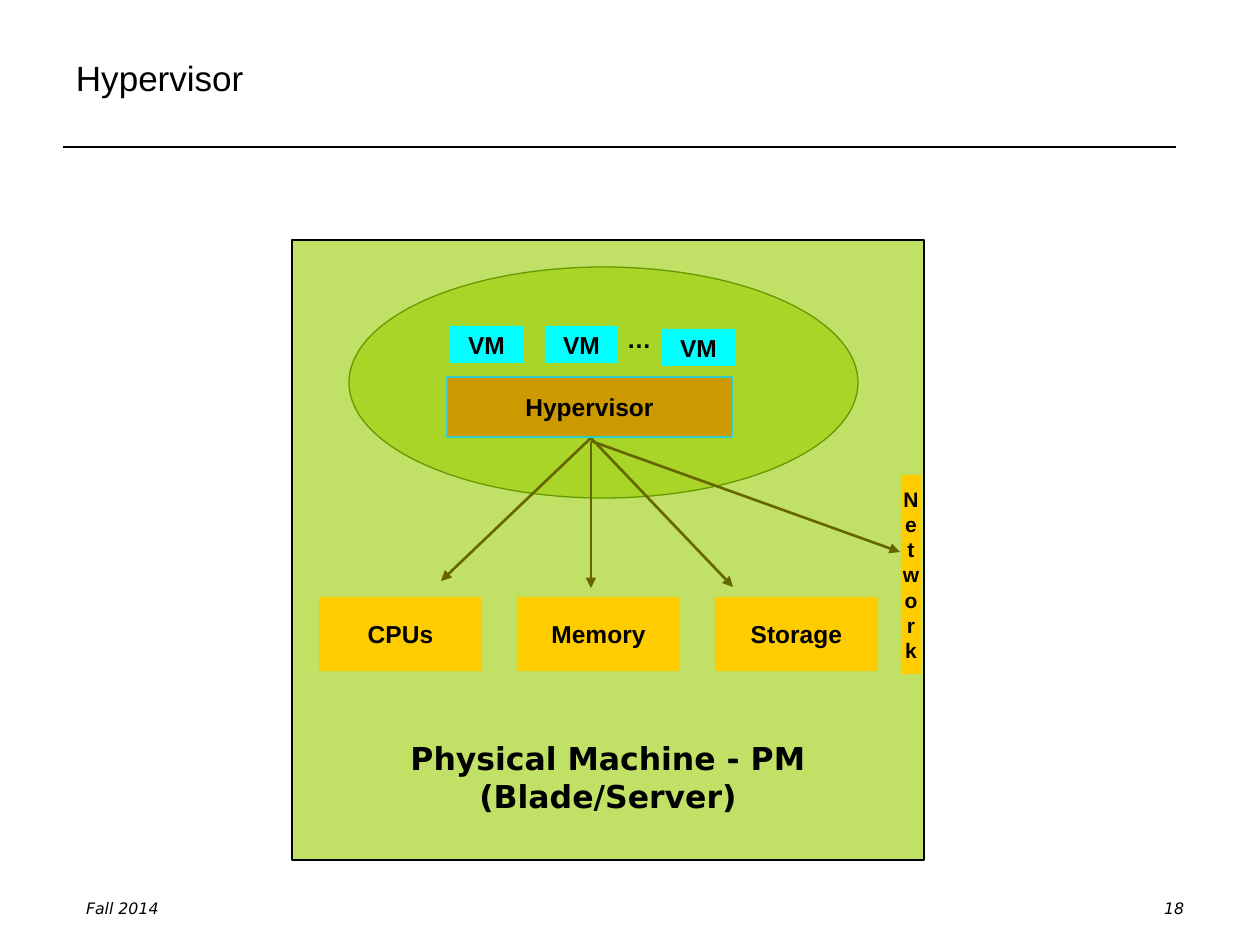
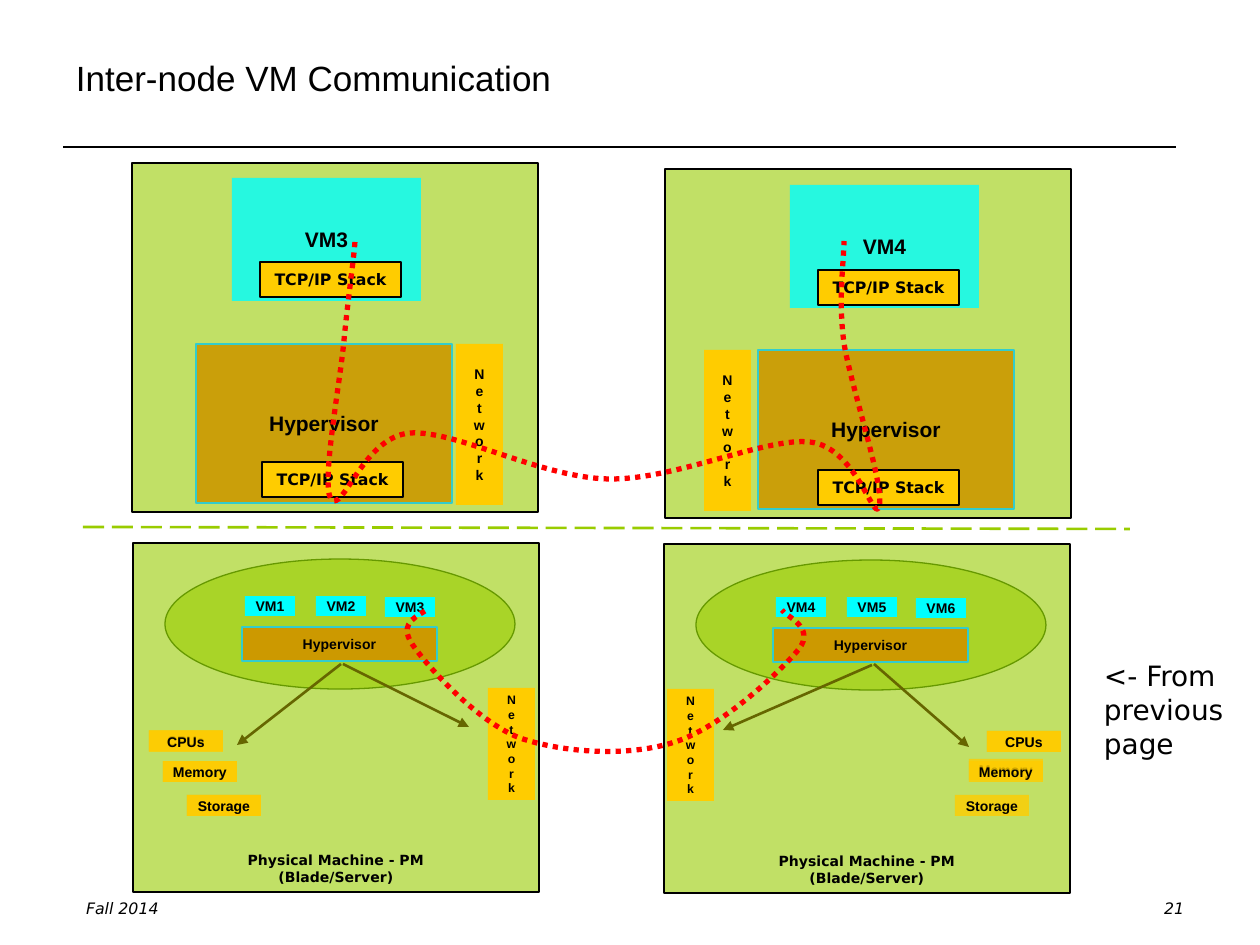
from lxml import etree
from pptx import Presentation
from pptx.dml.color import RGBColor
from pptx.enum.dml import MSO_LINE
from pptx.enum.shapes import MSO_CONNECTOR, MSO_SHAPE
from pptx.enum.text import MSO_ANCHOR, PP_ALIGN
from pptx.oxml.ns import qn
from pptx.util import Pt

RECT, OVAL = MSO_SHAPE.RECTANGLE, MSO_SHAPE.OVAL
STRAIGHT = MSO_CONNECTOR.STRAIGHT
DOTS, LONG_DASH = MSO_LINE.ROUND_DOT, MSO_LINE.LONG_DASH
LEFT, CENTER, RIGHT = PP_ALIGN.LEFT, PP_ALIGN.CENTER, PP_ALIGN.RIGHT
TOP, MIDDLE, BOTTOM = MSO_ANCHOR.TOP, MSO_ANCHOR.MIDDLE, MSO_ANCHOR.BOTTOM

PX = 914400 / 126
SLIDE_W, SLIDE_H = 1260, 945
SANS, WIDE = "Arial", "DejaVu Sans"
COLORS = {
    "black": "000000", "green": "99CC00", "rim": "669900", "cyan": "00FFFF",
    "gold": "FFCC00", "brown": "CC9900", "teal": "33CCCC", "olive": "666600",
    "red": "FF0000",
}

FOOTER = "Fall 2014"
MACHINE = ["Physical Machine - PM", "(Blade/Server)"]
NETWORK = list("Network")
STACK = "TCP/IP Stack"

# Slide 1: one physical machine. Boxes are (left, top, width, height).
VMS = [(450, 326), (545, 326), (662, 329)]
RESOURCES = ["CPUs", "Memory", "Storage"]
RESOURCE_LEFT, RESOURCE_PITCH = 319, 198
HYPERVISOR_ARROWS = [
    ((591, 442), (591, 588)), ((592, 437), (441, 581)),
    ((590, 437), (733, 587)), ((591, 441), (900, 552)),
]

# Slide 2, upper half: protocol stacks of the two nodes
STACK_NODES = [
    {"panel": (132, 163), "hypervisor": (196, 344), "network": (456, 344),
     "vm": ("VM3", 232, 178), "stacks": [(260, 262), (262, 462)]},
    {"panel": (665, 169), "hypervisor": (758, 350), "network": (704, 350),
     "vm": ("VM4", 790, 185), "stacks": [(818, 270), (818, 470)]},
]
# Slide 2, lower half: the same nodes as physical machines.
# A resource is (name, left, tops of its translucent layers).
MACHINE_NODES = [
    {"origin": (133, 543), "vms": ["VM1", "VM2", "VM3"], "network": (488, 688),
     "arrows": [((341, 664), (237, 745)), ((343, 664), (469, 727))],
     "resources": [("CPUs", 149, [730, 731]), ("Memory", 163, [761, 761]),
                   ("Storage", 187, [795, 795])]},
    {"origin": (664, 544), "vms": ["VM4", "VM5", "VM6"], "network": (667, 689),
     "arrows": [((872, 665), (723, 730)), ((874, 664), (969, 747))],
     "resources": [("CPUs", 987, [731, 731]), ("Memory", 969, [759, 761]),
                   ("Storage", 955, [795])]},
]
VM_OFFSETS = [(112, 53), (183, 53), (252, 54)]

# Each route is a start point, then (control, control, end) per curve
MACHINE_ROUTE = [
    (425, 611),
    ((412, 619), (398, 626), (415, 648)), ((430, 669), (478, 722), (520, 738)),
    ((564, 753), (629, 757), (675, 742)), ((722, 727), (780, 672), (799, 649)),
    ((816, 627), (785, 616), (782, 610)),
]
STACK_ROUTE = [
    (355, 242),
    ((354, 258), (348, 299), (344, 341)), ((340, 384), (321, 484), (331, 499)),
    ((343, 514), (363, 437), (410, 433)), ((456, 430), (542, 478), (609, 479)),
    ((675, 480), (766, 437), (810, 442)), ((856, 447), (874, 523), (879, 507)),
    ((886, 490), (851, 387), (844, 343)), ((838, 299), (844, 262), (844, 241)),
]


def emu(*lengths):
    return [round(n * PX) for n in lengths]


def rgb(name):
    return RGBColor.from_string(COLORS[name])


def write(sp, text, size=14, font=SANS, bold=False, italic=False, align=CENTER,
          anchor=MIDDLE, wrap=False, inset=(0, 0, 0, 0)):
    """Fill a shape with a string, or with one paragraph per list item."""
    tf = sp.text_frame
    tf.word_wrap, tf.vertical_anchor = wrap, anchor
    tf.margin_left, tf.margin_top, tf.margin_right, tf.margin_bottom = emu(*inset)
    for i, line in enumerate([text] if isinstance(text, str) else text):
        p = tf.paragraphs[0] if i == 0 else tf.add_paragraph()
        p.alignment = align
        r = p.add_run()
        r.text = line
        r.font.size, r.font.name = Pt(size), font
        r.font.bold, r.font.italic = bold, italic
        r.font.color.rgb = rgb("black")


def add_text(slide, box, text, align=LEFT, anchor=TOP, **style):
    sp = slide.shapes.add_textbox(*emu(*box))
    write(sp, text, align=align, anchor=anchor, wrap=True,
          inset=(13, 6, 13, 6), **style)


def add_box(slide, box, fill, text=None, kind=RECT, line=None, opacity=100, **style):
    sp = slide.shapes.add_shape(kind, *emu(*box))
    sp.shadow.inherit = False
    sp.fill.solid()
    sp.fill.fore_color.rgb = rgb(fill)
    if opacity < 100:
        color = sp.fill._xPr.find(qn("a:solidFill"))[0]
        etree.SubElement(color, qn("a:alpha"), val=str(opacity * 1000))
    if line:
        sp.line.color.rgb = rgb(line)
        sp.line.width = Pt(0.75)
    else:
        sp.line.fill.background()
    if text:
        write(sp, text, bold=True, **style)


def add_line(slide, start, end, color, dash=None, arrow=False):
    cxn = slide.shapes.add_connector(STRAIGHT, *emu(*start, *end))
    cxn.line.color.rgb = rgb(color)
    cxn.line.width = Pt(1.5)
    if dash:
        cxn.line.dash_style = dash
    if arrow:
        etree.SubElement(cxn.line._get_or_add_ln(), qn("a:tailEnd"), type="triangle")
    etree.SubElement(cxn._element.spPr, qn("a:effectLst"))


def add_route(slide, route):
    """Draw a dotted red path through a chain of cubic curves."""
    start, *curves = route
    builder = slide.shapes.build_freeform(*emu(*start))
    builder.add_line_segments([emu(*pt) for curve in curves for pt in curve],
                              close=False)
    sp = builder.convert_to_shape()
    # Every three line points become the control, control and end of a curve
    lines = list(sp._element.iter(qn("a:lnTo")))
    for c1, c2, end in zip(lines[::3], lines[1::3], lines[2::3]):
        curve = etree.SubElement(c1.getparent(), qn("a:cubicBezTo"))
        for node in (c1, c2, end):
            curve.append(node[0])
            node.getparent().remove(node)
    sp.shadow.inherit = False
    sp.fill.background()
    sp.line.color.rgb = rgb("red")
    sp.line.width = Pt(3)
    sp.line.dash_style = DOTS


def add_machine(slide, box, size, bottom):
    add_box(slide, box, "green", MACHINE, line="black", opacity=60, size=size,
            font=WIDE, anchor=BOTTOM, inset=(0, 0, 0, bottom))


def add_cloud(slide, box):
    add_box(slide, box, "green", kind=OVAL, line="rim", opacity=60)


def add_hypervisor(slide, box, size, opacity=100):
    add_box(slide, box, "brown", "Hypervisor", line="teal", size=size, opacity=opacity)


def add_arrows(slide, arrows):
    for start, end in arrows:
        add_line(slide, start, end, "olive", arrow=True)


def new_slide(prs, title, number):
    slide = prs.slides.add_slide(prs.slide_layouts[6])
    add_line(slide, (63, 147), (1176, 147), "black")
    add_text(slide, (73, 893, 284, 32), FOOTER, size=9, font=WIDE, italic=True)
    add_text(slide, (903, 893, 294, 32), number, size=9, font=WIDE, italic=True,
             align=RIGHT)
    add_text(slide, (63, 37, 1134, 67), title, size=20, anchor=BOTTOM)
    return slide


def hypervisor_slide(prs):
    slide = new_slide(prs, "Hypervisor", "18")
    add_machine(slide, (292, 240, 632, 620), 18, 45)
    add_cloud(slide, (349, 267, 509, 231))
    for x, y in VMS:
        add_box(slide, (x, y, 73, 37), "cyan", "VM")
    add_text(slide, (614, 318, 60, 42), "…", bold=True)
    for i, name in enumerate(RESOURCES):
        left = RESOURCE_LEFT + i * RESOURCE_PITCH
        add_box(slide, (left, 597, 163, 74), "gold", name)
    add_arrows(slide, HYPERVISOR_ARROWS[:-1])
    add_hypervisor(slide, (447, 377, 285, 60), 14)
    add_box(slide, (901, 475, 20, 199), "gold", NETWORK, size=12)
    add_arrows(slide, HYPERVISOR_ARROWS[-1:])


def communication_slide(prs):
    slide = new_slide(prs, "Inter-node VM Communication", "21")
    for node in STACK_NODES:
        name, *vm = node["vm"]
        add_box(slide, (*node["panel"], 406, 349), "green", line="black", opacity=60)
        add_hypervisor(slide, (*node["hypervisor"], 256, 159), 12, opacity=90)
        add_box(slide, (*node["network"], 47, 161), "gold", NETWORK, size=8)
        add_box(slide, (*vm, 189, 123), "cyan", name, size=12, opacity=80)
    for node in MACHINE_NODES:
        x, y = node["origin"]
        add_machine(slide, (x, y, 406, 349), 8, 7)
        add_cloud(slide, (x + 32, y + 16, 350, 130))
        for name, (dx, dy) in zip(node["vms"], VM_OFFSETS):
            add_box(slide, (x + dx, y + dy, 50, 20), "cyan", name, size=8)
        add_arrows(slide, node["arrows"])
        add_hypervisor(slide, (x + 109, y + 84, 195, 34), 8)
        add_box(slide, (*node["network"], 47, 112), "gold", NETWORK, size=7)
        for name, left, tops in node["resources"]:
            for top in tops:
                add_box(slide, (left, top, 74, 21), "gold", name, size=8, opacity=80)
    add_route(slide, MACHINE_ROUTE)
    add_line(slide, (83, 527), (1130, 529), "green", dash=LONG_DASH)
    for node in STACK_NODES:
        for spot in node["stacks"]:
            add_box(slide, (*spot, 141, 35), "gold", STACK, line="black",
                    size=9, font=WIDE)
    add_route(slide, STACK_ROUTE)
    add_text(slide, (1091, 653, 159, 115), "<- From previous page", size=16, font=WIDE)


def main():
    prs = Presentation()
    prs.slide_width, prs.slide_height = emu(SLIDE_W, SLIDE_H)
    hypervisor_slide(prs)
    communication_slide(prs)
    prs.save("out.pptx")


if __name__ == "__main__":
    main()
